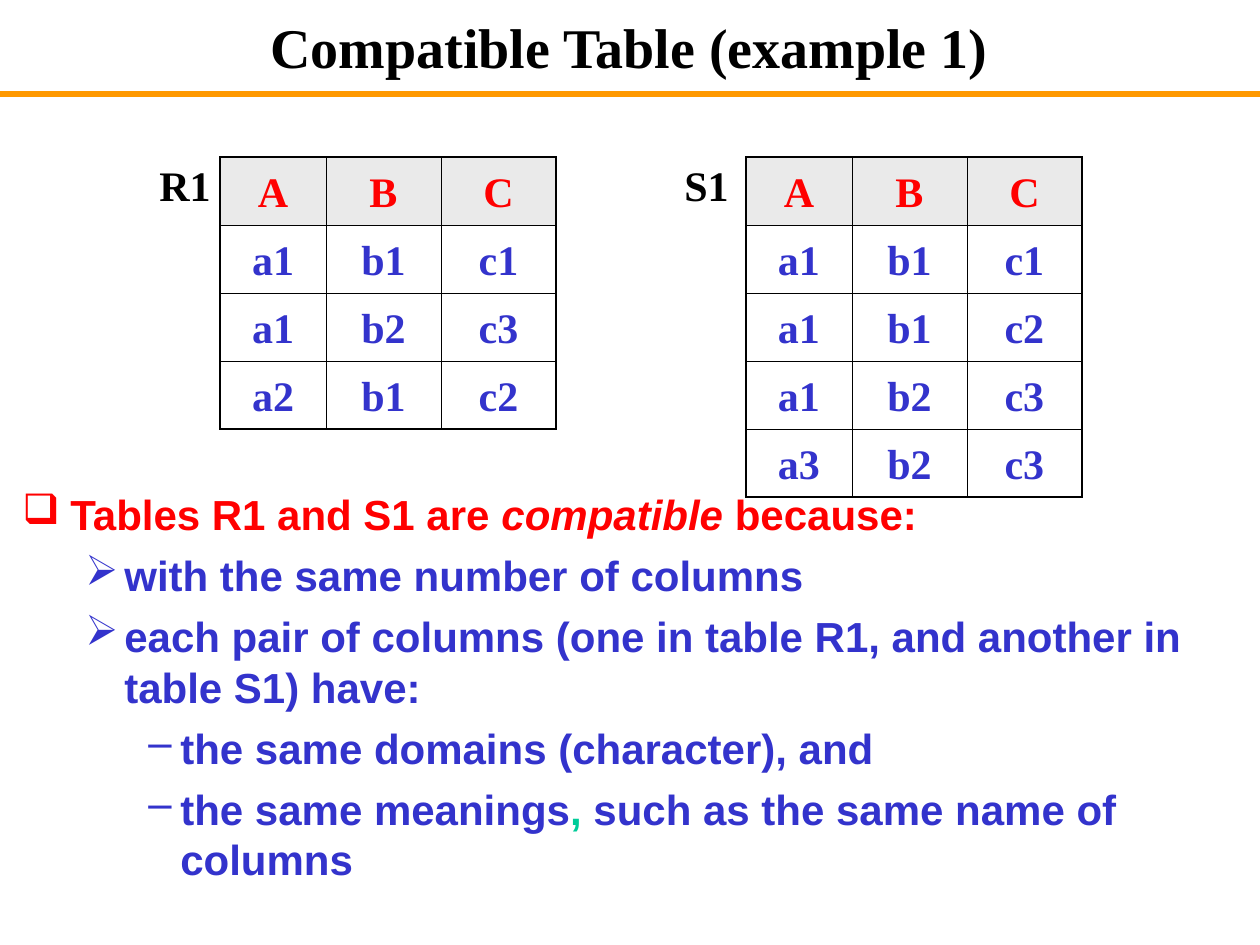
import pptx
import pptx.dml.color
import pptx.enum.shapes
import pptx.enum.text
import pptx.oxml
import pptx.oxml.ns
import pptx.util
from lxml import etree

EMU_PER_PX = 914400 // 126
ALIGN = pptx.enum.text.PP_ALIGN
ANCHOR = pptx.enum.text.MSO_ANCHOR
COLORS = {"black": "000000", "orange": "FF9900", "red": "FF0000", "blue": "3333CC",
          "green": "00CC99", "header": "EAEAEA", "white": "FFFFFF"}
SERIF, SANS = "Times New Roman", "Arial"
THIN, THICK = 0.45, 1.08
COLUMN_WIDTHS = [106, 115, 115]
# Bullet, left margin and hanging indent for each outline level
LEVELS = [("❑", 48, 48), ("➢", 102, 39), ("–", 158, 32)]

HEADER = ["A", "B", "C"]
R1_ROWS = [HEADER, ["a1", "b1", "c1"], ["a1", "b2", "c3"], ["a2", "b1", "c2"]]
S1_ROWS = [HEADER, ["a1", "b1", "c1"], ["a1", "b1", "c2"], ["a1", "b2", "c3"],
           ["a3", "b2", "c3"]]
REASONS = [
    (0, [("Tables R1 and S1 are ", {}), ("compatible", {"italic": True}), (" because:", {})]),
    (1, [("with the same number of columns", {})]),
    (1, [("each pair of columns (one in table R1, and another in table S1) have:", {})]),
    (2, [("the same domains (character), and", {})]),
    (2, [("the same meanings", {}), (", ", {"color": "green"}),
         ("such as the same name of columns", {})]),
]


def px(length):
    return pptx.util.Emu(length * EMU_PER_PX)


def rgb(name):
    return pptx.dml.color.RGBColor.from_string(COLORS[name])


def add_text(paragraph, text, font=SERIF, size=24, color="black", bold=True, italic=False):
    run = paragraph.add_run()
    run.text = text
    run.font.name = font
    run.font.size = pptx.util.Pt(size)
    run.font.color.rgb = rgb(color)
    run.font.bold = bold
    run.font.italic = italic


def set_bullet(paragraph, level, color):
    character, margin, hanging = LEVELS[level]
    properties = paragraph._p.get_or_add_pPr()
    properties.set("marL", str(px(margin)))
    properties.set("indent", str(-px(hanging)))
    bullet_color = etree.SubElement(properties, pptx.oxml.ns.qn("a:buClr"))
    etree.SubElement(bullet_color, pptx.oxml.ns.qn("a:srgbClr"), val=COLORS[color])
    etree.SubElement(properties, pptx.oxml.ns.qn("a:buChar"), char=character)


def set_borders(cell, widths):
    """Draw black borders; widths are in points for left, right, top and bottom."""
    properties = cell._tc.get_or_add_tcPr()
    for index, (side, width) in enumerate(zip("LRTB", widths)):
        border = pptx.oxml.parse_xml(
            f'<a:ln{side} {pptx.oxml.ns.nsdecls("a")} w="{pptx.util.Pt(width)}">'
            f'<a:solidFill><a:srgbClr val="{COLORS["black"]}"/></a:solidFill></a:ln{side}>')
        properties.insert(index, border)


class SlideBuilder:
    def __init__(self, slide):
        self.slide = slide

    def rule(self, y, width, color):
        line = self.slide.shapes.add_connector(
            pptx.enum.shapes.MSO_CONNECTOR.STRAIGHT, 0, px(y), px(width), px(y))
        line.line.color.rgb = rgb(color)
        line.line.width = pptx.util.Pt(3)
        etree.SubElement(line._element.spPr, pptx.oxml.ns.qn("a:effectLst"))

    def text_box(self, left, top, width, height, inset=6, anchor=ANCHOR.TOP):
        box = self.slide.shapes.add_textbox(px(left), px(top), px(width), px(height))
        frame = box.text_frame
        frame.word_wrap = True
        frame.vertical_anchor = anchor
        frame.margin_top = frame.margin_bottom = px(inset)
        return frame

    def title(self, text):
        frame = self.text_box(94, 10, 1071, 73, anchor=ANCHOR.MIDDLE)
        frame.paragraphs[0].alignment = ALIGN.CENTER
        add_text(frame.paragraphs[0], text, size=32)

    def label(self, left, text):
        frame = self.text_box(left, 160, 105, 50, inset=0)
        add_text(frame.paragraphs[0], text)

    def outline(self, items):
        frame = self.text_box(10, 483, 1250, 410)
        for index, (level, runs) in enumerate(items):
            paragraph = frame.add_paragraph() if index else frame.paragraphs[0]
            color = "blue" if level else "red"
            set_bullet(paragraph, level, color)
            paragraph.level = level
            if index:
                paragraph.space_before = pptx.util.Pt(6)
            for text, style in runs:
                add_text(paragraph, text, **{"font": SANS, "color": color, **style})

    def relation(self, left, rows, row_height):
        row_count, column_count = len(rows), len(COLUMN_WIDTHS)
        table = self.slide.shapes.add_table(
            row_count, column_count, px(left), px(157),
            px(sum(COLUMN_WIDTHS)), px(row_height * row_count)).table
        for column, width in zip(table.columns, COLUMN_WIDTHS):
            column.width = px(width)
        for r, row in enumerate(rows):
            table.rows[r].height = px(row_height)
            for c, text in enumerate(row):
                cell = table.cell(r, c)
                cell.vertical_anchor = ANCHOR.MIDDLE
                cell.fill.solid()
                cell.fill.fore_color.rgb = rgb("white" if r else "header")
                outer = [c == 0, c == column_count - 1, r == 0, r == row_count - 1]
                set_borders(cell, [THICK if edge else THIN for edge in outer])
                paragraph = cell.text_frame.paragraphs[0]
                paragraph.alignment = ALIGN.CENTER
                paragraph.line_spacing = 1.1
                add_text(paragraph, text, color="blue" if r else "red")


def main():
    presentation = pptx.Presentation()
    presentation.slide_width, presentation.slide_height = px(1260), px(945)
    builder = SlideBuilder(presentation.slides.add_slide(presentation.slide_layouts[6]))
    builder.rule(94, 1260, "orange")
    builder.title("Compatible Table (example 1)")
    builder.outline(REASONS)
    builder.relation(220, R1_ROWS, 64)
    builder.label(147, "R1")
    builder.relation(746, S1_ROWS, 68)
    builder.label(672, "S1")
    presentation.save("out.pptx")


if __name__ == "__main__":
    main()
